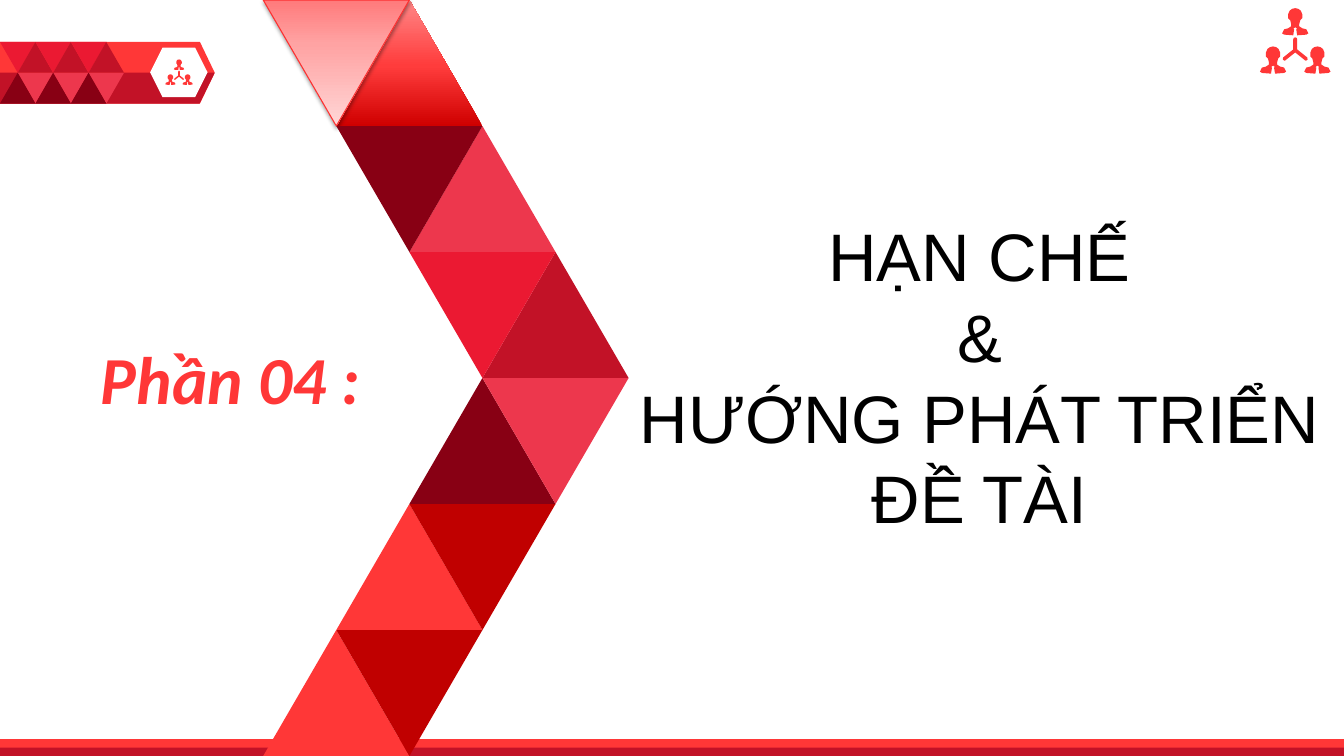
from copy import deepcopy
from dataclasses import dataclass

from lxml.etree import SubElement
from pptx import Presentation
from pptx.dml.color import RGBColor
from pptx.enum.shapes import MSO_SHAPE
from pptx.enum.text import MSO_AUTO_SIZE, PP_ALIGN
from pptx.oxml.ns import qn
from pptx.util import Pt


@dataclass(frozen=True)
class Theme:
    coral: str = "FF3737"
    crimson: str = "C21227"
    scarlet: str = "EB1932"
    rose: str = "ED374D"
    maroon: str = "880014"
    brick: str = "C00000"
    edge: str = "FD3030"
    white: str = "FFFFFF"
    black: str = "000000"
    deep: tuple = ((0, "CF0000"), (0.48, "FF3C3C"), (1, "FF8787"))
    pale: tuple = ((0, "FF7A7B"), (0.35, "FFA3A3"), (1, "FFD6D6"))
    size: int = 48


THEME = Theme()
WIDTH, HEIGHT = 960, 540

# Right halves of the icon outlines, in hundredths of an inch from the top centre
PERSON = [(0, 0), (3, 0.7), (5.5, 2.5), (7, 6), (7, 8), (7, 10), (5, 12),
          (4, 16), (4, 18), (7, 20), (11, 21), (13, 25), (11, 26.3),
          (2, 27), (1, 21), (2, 20.5), (0, 19)]
TRIPOD = [(0, 29), (1.4, 29.5), (2, 31), (2, 41), (12, 49), (12.3, 51),
          (11, 52), (10, 52), (0, 44)]
HEADS = [(0, 0), (-22, 38), (22, 38)]


def set_all(target, values):
    for name, value in values.items():
        setattr(target, name, value)


def paint(shape, fill):
    """Fill with a colour, or with gradient stops running upwards."""
    shape.shadow.inherit = False
    shape.line.fill.background()
    if isinstance(fill, str):
        shape.fill.solid()
        shape.fill.fore_color.rgb = RGBColor.from_string(fill)
        return shape
    shape.fill.gradient()
    shape.fill.gradient_angle = 90
    stops = shape._element.spPr.find(".//" + qn("a:gsLst"))
    stops.append(deepcopy(stops[0]))
    for stop, (place, color) in zip(shape.fill.gradient_stops, fill):
        stop.position = place
        stop.color.rgb = RGBColor.from_string(color)
    return shape


def add_shape(slide, kind, box, fill, adjust=None):
    shape = slide.shapes.add_shape(kind, *map(Pt, box))
    if adjust is not None:
        shape.adjustments[0] = adjust
    return paint(shape, fill)


def add_tile(slide, box, fill, down=False):
    tile = add_shape(slide, MSO_SHAPE.ISOSCELES_TRIANGLE, box, fill)
    tile.rotation = 180 if down else 0
    return tile


def add_outline(slide, loops, fill):
    loops = [[(Pt(x), Pt(y)) for x, y in loop] for loop in loops]
    pen = slide.shapes.build_freeform(*loops[0][0])
    for index, loop in enumerate(loops):
        if index:
            pen.move_to(*loop[0])
        pen.add_line_segments(loop[1:], close=True)
    return paint(pen.convert_to_shape(), fill)


def add_team(slide, left, top, scale):
    """Draw three people joined by a tripod, centred on left."""
    def place(half, dx=0, dy=0):
        whole = half + [(-x, y) for x, y in half[-2:0:-1]]
        return [(left + (x + dx) * scale, top + (y + dy) * scale)
                for x, y in whole]

    loops = [place(PERSON, *head) for head in HEADS] + [place(TRIPOD)]
    add_outline(slide, loops, THEME.coral)


def add_text(slide, box, text, font, color, align=None):
    frame = slide.shapes.add_textbox(*map(Pt, box)).text_frame
    set_all(frame, {"word_wrap": True, "text": text,
                    "auto_size": MSO_AUTO_SIZE.SHAPE_TO_FIT_TEXT})
    for line in frame.paragraphs:
        line.alignment = align
        for run in line.runs:
            set_all(run.font, {"size": Pt(THEME.size), **font})
            run.font.color.rgb = RGBColor.from_string(color)


def add_glow(tile):
    """Give the top tile its thin edge and soft shadow."""
    tile.line.color.rgb = RGBColor.from_string(THEME.edge)
    tile.line.width = Pt(0.75)
    effects = tile._element.spPr.find(qn("a:effectLst"))
    shade = SubElement(effects, qn("a:outerShdw"), blurRad=str(Pt(3.1)),
                       dist=str(Pt(1.6)), dir="5400000", rotWithShape="0")
    color = SubElement(shade, qn("a:srgbClr"), val=THEME.black)
    SubElement(color, qn("a:alpha"), val="37000")


def add_badge(slide):
    top, tall, wide, tip = 30, 22, 25.3, 153.4
    middle, end = top + tall, top + 2 * tall
    add_shape(slide, MSO_SHAPE.PENTAGON, (0, top, tip, 2 * tall),
              THEME.coral, 0.24)
    add_outline(slide, [[(0, middle), (tip, middle), (142.6, end), (0, end)]],
                THEME.crimson)
    add_shape(slide, MSO_SHAPE.HEXAGON, (107.3, 34, 41, 35.4),
              THEME.white, 0.25)
    add_team(slide, 127.9, 42.5, 0.28)
    for left in (0, wide, 2 * wide):
        for shift, row, color, down in (
                (0, top, THEME.scarlet, True),
                (wide / 2, top, THEME.crimson, False),
                (wide / 2, middle, THEME.rose, True),
                (0, middle, THEME.maroon, False)):
            add_tile(slide, (left + shift, row, wide, tall), color, down)


def add_chevron(slide):
    left, wide, tall = 188, 104.4, HEIGHT / 6
    rows = [(THEME.deep, THEME.pale), (THEME.rose, THEME.maroon),
            (THEME.crimson, THEME.scarlet), (THEME.maroon, THEME.rose),
            (THEME.coral, THEME.brick), (THEME.coral, THEME.brick)]
    for row, (up, down) in enumerate(rows):
        up_col = min(row + 1, 5 - row)
        if row < 3:
            up_col = row + 1
        down_col = min(row, 6 - row)
        for col, fill, flip in ((up_col, up, False), (down_col, down, True)):
            box = (left + col * wide / 2, row * tall, wide, tall)
            tile = add_tile(slide, box, fill, flip)
            if fill == THEME.pale:
                add_glow(tile)


def main():
    deck = Presentation()
    set_all(deck, {"slide_width": Pt(WIDTH), "slide_height": Pt(HEIGHT)})
    slide = deck.slides.add_slide(deck.slide_layouts[6])
    add_badge(slide)
    for top, tall, color in ((528, 12, THEME.coral), (534, 6, THEME.crimson)):
        add_shape(slide, MSO_SHAPE.RECTANGLE, (0, top, WIDTH, tall), color)
    add_chevron(slide)
    add_text(slide, (65, 237.6, 296.6, 65), "Phần 04 :",
             {"name": "Calibri", "bold": True, "italic": True}, THEME.coral)
    add_text(slide, (447.8, 149.8, 504, 240),
             "HẠN CHẾ\n&\nHƯỚNG PHÁT TRIỂN\nĐỀ TÀI",
             {"name": "Arial"}, THEME.black, PP_ALIGN.CENTER)
    add_team(slide, 925.2, 5.8, 0.72)
    deck.save("out.pptx")


if __name__ == "__main__":
    main()
